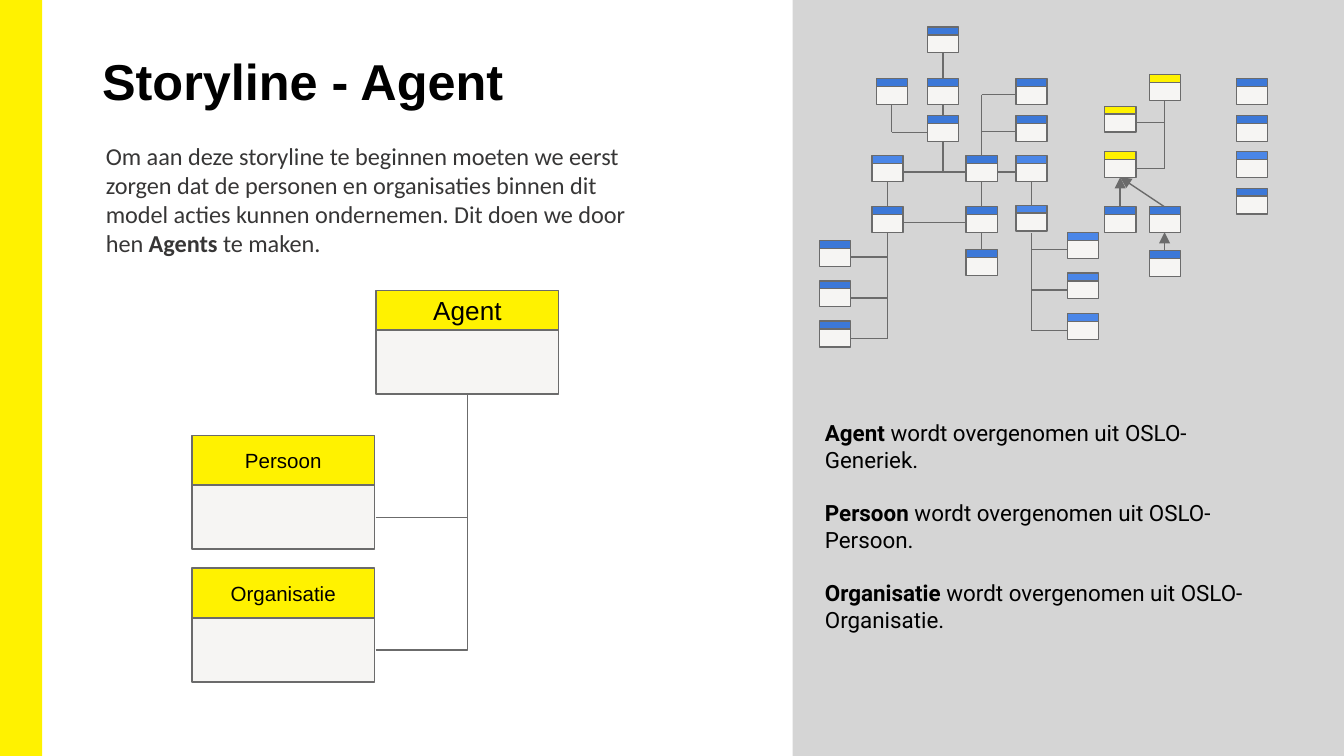
"""Build the Agent storyline slide with its class diagram and model overview."""
from lxml import etree
from pptx import Presentation
from pptx.dml.color import RGBColor
from pptx.enum.shapes import MSO_CONNECTOR, MSO_SHAPE
from pptx.enum.text import MSO_ANCHOR, MSO_AUTO_SIZE, PP_ALIGN
from pptx.oxml.ns import qn
from pptx.util import Cm, Pt

RECTANGLE = MSO_SHAPE.RECTANGLE
STRAIGHT, ELBOW = MSO_CONNECTOR.STRAIGHT, MSO_CONNECTOR.ELBOW
TOP, MIDDLE = MSO_ANCHOR.TOP, MSO_ANCHOR.MIDDLE
LEFT, CENTER = PP_ALIGN.LEFT, PP_ALIGN.CENTER
NO_AUTOFIT = MSO_AUTO_SIZE.NONE

YELLOW = RGBColor(0xFF, 0xF2, 0x00)
PANEL_GRAY = RGBColor(0xD5, 0xD5, 0xD5)
BODY_GRAY = RGBColor(0xF6, 0xF5, 0xF3)
LINE_GRAY = RGBColor(0x6B, 0x6B, 0x6B)
TEXT_GRAY = RGBColor(0x37, 0x36, 0x36)
BLACK = RGBColor(0x00, 0x00, 0x00)
BLUE = RGBColor(0x3C, 0x78, 0xD8)
LIGHT_BLUE = RGBColor(0x4A, 0x86, 0xE8)

INTRO = [[
    ("Om aan deze storyline te beginnen moeten we eerst zorgen dat de personen en "
     "organisaties binnen dit model acties kunnen ondernemen. Dit doen we door hen ", False),
    ("Agents ", True),
    ("te maken.", False),
]]
NOTES = [[(name, True), (f" wordt overgenomen uit OSLO-{origin}.", False)]
         for name, origin in (("Agent", "Generiek"), ("Persoon", "Persoon"),
                              ("Organisatie", "Organisatie"))]

OVERVIEW_CLASSES = [
    (15.49, BLUE, (4.55, 5.31, 6.07)),
    (16.48, LIGHT_BLUE, (2.94,)),
    (16.48, BLUE, (3.91,)),
    (16.56, BLUE, (1.49,)),
    (17.53, BLUE, (0.51, 1.49, 2.19)),
    (18.26, BLUE, (2.94, 3.91, 4.72)),
    (19.2, BLUE, (1.49, 2.19)),
    (19.2, LIGHT_BLUE, (2.94, 3.88)),
    (20.17, LIGHT_BLUE, (4.4, 5.16, 5.93)),
    (20.88, YELLOW, (2.01, 2.87)),
    (20.88, BLUE, (3.91,)),
    (21.72, YELLOW, (1.41,)),
    (21.72, BLUE, (3.91, 4.74)),
    (23.37, BLUE, (1.49, 2.19, 3.56)),
    (23.37, LIGHT_BLUE, (2.87,)),
]
VERTICALS = [
    (16.77, ((3.43, 3.91), (4.4, 6.4))),
    (16.85, ((1.97, 2.5),)),
    (17.82, ((1, 1.49), (1.97, 2.19), (2.67, 3.26))),
    (18.55, ((1.79, 2.94), (3.43, 3.91), (4.4, 4.72))),
    (19.5, ((3.43, 3.88), (4.4, 6.25))),
    (22.01, ((1.9, 3.19),)),
]
HORIZONTALS = [
    (16.08, 16.77, (4.86, 5.63, 6.4)),
    (16.85, 17.53, (2.5,)),
    (17.07, 18.26, (3.25, 4.21)),
    (18.55, 19.2, (1.79, 2.49)),
    (18.85, 19.2, (3.25,)),
    (19.5, 20.17, (4.72, 5.48, 6.25)),
    (21.47, 22.01, (2.31, 3.19)),
]
ARROWS = [
    (21.17, 3.91, 21.17, 3.35),
    (22.01, 3.91, 21.17, 3.35),
    (22.01, 4.75, 22.01, 4.39),
]


def add_rectangle(shapes, left, top, width, height, fill, line=None):
    """Add a flat rectangle, outlined only when a line colour is given."""
    shape = shapes.add_shape(RECTANGLE, Cm(left), Cm(top), Cm(width), Cm(height))
    shape.shadow.inherit = False
    shape.fill.solid()
    shape.fill.fore_color.rgb = fill
    if line is None:
        shape.line.fill.background()
    else:
        shape.line.color.rgb = line
        shape.line.width = Pt(0.75)
    return shape


def set_frame(shape, inset_x, inset_y, anchor):
    """Set the insets, wrapping and anchor of a shape's text and return its frame."""
    frame = shape.text_frame
    frame.word_wrap = True
    frame.auto_size = NO_AUTOFIT
    frame.vertical_anchor = anchor
    frame.margin_left = frame.margin_right = Cm(inset_x)
    frame.margin_top = frame.margin_bottom = Cm(inset_y)
    return frame


def set_font(paragraph, name, size, color):
    """Set the font that all runs of a paragraph share."""
    paragraph.font.name = name
    paragraph.font.size = Pt(size)
    paragraph.font.color.rgb = color


def place(shape, left, top, width, height):
    """Move and size a placeholder."""
    shape.left, shape.top = Cm(left), Cm(top)
    shape.width, shape.height = Cm(width), Cm(height)


def fill_title(title, text):
    """Write the slide title."""
    place(title, 1.75, 0.76, 13.23, 1.52)
    frame = set_frame(title, 0.18, 0.1, MIDDLE)
    frame.text = text
    paragraph = frame.paragraphs[0]
    paragraph.alignment = LEFT
    set_font(paragraph, "Arial", 27, BLACK)
    paragraph.font.bold = True


def fill_body(body, paragraphs, name, size, color, gap=0):
    """Write unbulleted paragraphs of (text, bold) runs into a body placeholder."""
    frame = set_frame(body, 0.25, 0.25, TOP)
    for index, runs in enumerate(paragraphs):
        paragraph = frame.add_paragraph() if index else frame.paragraphs[0]
        properties = paragraph._p.get_or_add_pPr()
        properties.set("marL", "0")
        properties.set("indent", "0")
        etree.SubElement(properties, qn("a:buNone"))
        paragraph.space_before = Pt(gap if index else 0)
        set_font(paragraph, name, size, color)
        for text, bold in runs:
            run = paragraph.add_run()
            run.text = text
            run.font.bold = bold


def add_class(shapes, left, top, width, header_height, body_height, color):
    """Add a class symbol of a body under a coloured header and return the header."""
    add_rectangle(shapes, left, top + header_height, width, body_height, BODY_GRAY, LINE_GRAY)
    return add_rectangle(shapes, left, top, width, header_height, color, LINE_GRAY)


def add_named_class(shapes, name, left, top, header_height, size):
    """Add a large class symbol with its name in the header."""
    header = add_class(shapes, left, top, 3.45, header_height, 1.21, YELLOW)
    frame = set_frame(header, 0.25, 0.25, MIDDLE)
    frame.text = name
    paragraph = frame.paragraphs[0]
    paragraph.alignment = CENTER
    set_font(paragraph, "Arial", size, BLACK)


def add_line(shapes, start_x, start_y, end_x, end_y, kind=STRAIGHT, arrow=False):
    """Add a straight or once-bent connector, with an optional arrowhead at its end."""
    connector = shapes.add_connector(kind, Cm(start_x), Cm(start_y), Cm(end_x), Cm(end_y))
    connector.line.color.rgb = LINE_GRAY
    connector.line.width = Pt(0.75)
    properties = connector.element.spPr
    if kind == ELBOW:
        properties.find(qn("a:prstGeom")).set("prst", "bentConnector2")
    if arrow:
        etree.SubElement(properties.find(qn("a:ln")), qn("a:tailEnd"), type="triangle")
    etree.SubElement(properties, qn("a:effectLst"))


def add_overview(shapes):
    """Add the small map of the whole model."""
    for left, color, tops in OVERVIEW_CLASSES:
        for top in tops:
            add_class(shapes.add_group_shape().shapes, left, top, 0.59, 0.15, 0.34, color)
    for x, spans in VERTICALS:
        for top, bottom in spans:
            add_line(shapes, x, top, x, bottom)
    for left, right, heights in HORIZONTALS:
        for y in heights:
            add_line(shapes, left, y, right, y)
    for arrow in ARROWS:
        add_line(shapes, *arrow, arrow=True)


def add_agent_diagram(shapes):
    """Add the Agent class with its two connected classes."""
    add_named_class(shapes, "Agent", 7.11, 5.49, 0.75, 14)
    for name, top in (("Persoon", 8.23), ("Organisatie", 10.74)):
        add_named_class(shapes, name, 3.63, top, 0.94, 11)
        add_line(shapes, 7.1, top + 1.55, 8.84, 7.45, ELBOW)


def main():
    """Build and save the slide."""
    presentation = Presentation()
    presentation.slide_width, presentation.slide_height = Cm(25.4), Cm(14.29)
    slide = presentation.slides.add_slide(presentation.slide_layouts[3])
    shapes = slide.shapes
    title, intro, notes = list(slide.placeholders)[:3]
    for left, width, color in ((0, 0.8, YELLOW), (14.98, 10.42, PANEL_GRAY)):
        band = add_rectangle(shapes, left, 0, width, 14.29, color).element
        band.getparent().insert(2, band)
    fill_title(title, "Storyline - Agent")
    place(intro, 1.75, 2.41, 10.72, 2.74)
    fill_body(intro, INTRO, "Calibri", 13, TEXT_GRAY)
    place(notes, 15.34, 7.67, 8.84, 4.62)
    fill_body(notes, NOTES, "Roboto", 12, BLACK, gap=14)
    add_overview(shapes)
    add_agent_diagram(shapes)
    presentation.save("out.pptx")


if __name__ == "__main__":
    main()
